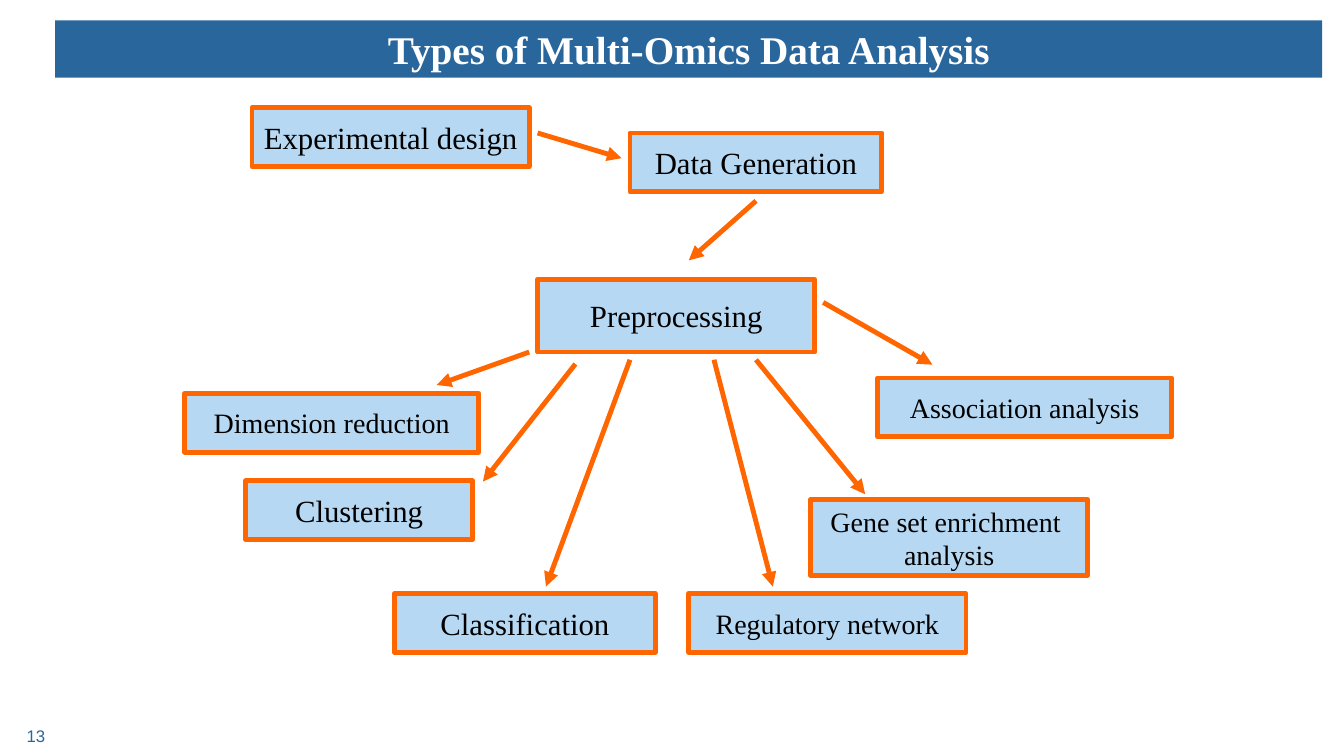
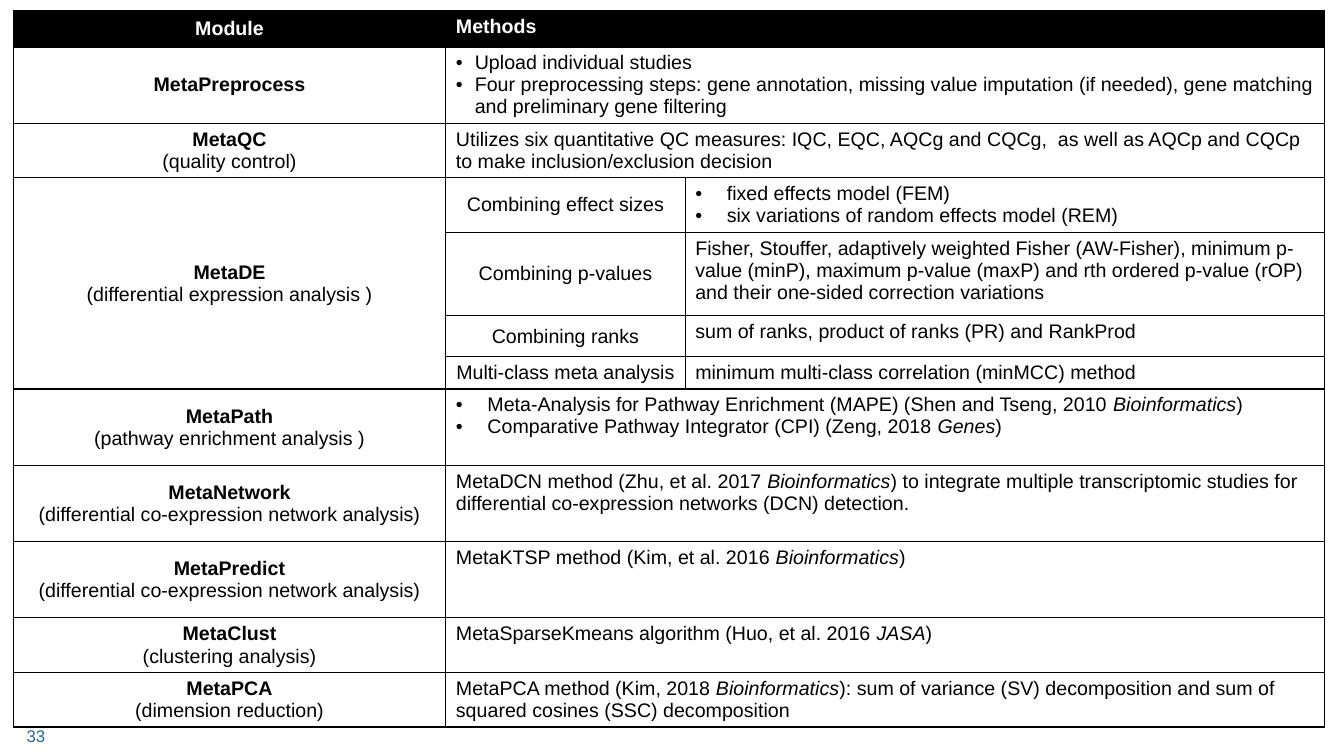
"""Build two slides on multi-omics data analysis: a flow chart and a table of modules."""
from dataclasses import dataclass
from lxml.etree import SubElement as Sub
from pptx import Presentation
from pptx.dml.color import RGBColor as Rgb
from pptx.enum.shapes import MSO_CONNECTOR as Link, MSO_SHAPE as Form
from pptx.enum.text import MSO_ANCHOR as Anchor, PP_ALIGN as Align
from pptx.oxml.ns import qn
from pptx.util import Pt


@dataclass(frozen=True)
class Theme:
    blue: str = "29669C"
    pale: str = "B6D8F2"
    rim: str = "FF6600"
    ink: str = "000000"
    paper: str = "FFFFFF"
    serif: str = "Times New Roman"
    sans: str = "Arial"
    title: float = 28
    large: float = 22
    small: float = 20
    cell: float = 14
    page: float = 12
    line: float = 3.5


@dataclass(frozen=True)
class Box:
    text: str
    left: float
    top: float
    wide: float
    size: float
    high: float = 42


@dataclass(frozen=True)
class Arrow:
    x1: float
    y1: float
    x2: float
    y2: float


@dataclass(frozen=True)
class Row:
    high: float
    name: str
    note: str
    kind: str
    text: str
    hang: float = 0


THEME = Theme()
BOXES = [
    Box("Experimental design", 180, 77, 198, THEME.large),
    Box("Data Generation", 450, 95, 180, THEME.large),
    Box("Preprocessing", 384, 199.5, 198, THEME.large, 52),
    Box("Dimension reduction", 132, 281, 210, THEME.small),
    Box("Association analysis", 627, 270, 210, THEME.small),
    Box("Regulatory network", 492, 424, 198, THEME.small),
    Box("Clustering", 175.5, 343.5, 162, THEME.large),
    Box("Classification", 282, 424, 186, THEME.large),
    Box("Gene set enrichment \nanalysis", 579, 357, 198, THEME.small, 54),
]
ARROWS = [
    Arrow(384, 95, 444, 113),
    Arrow(540, 143.5, 492, 186),
    Arrow(378, 251.5, 312, 275),
    Arrow(411, 260, 345, 344),
    Arrow(588, 216, 666, 260.5),
    Arrow(450, 257, 390, 419),
    Arrow(510, 257, 552, 419),
    Arrow(540, 257, 618, 353),
]
COLS = [309, 171, 456.5]
ROWS = [
    Row(26, "Module", "", "", "Methods"),
    Row(54.5, "MetaPreprocess", "", "",
        "Upload individual studies\n"
        "Four preprocessing steps: gene annotation, missing value imputation "
        "(if needed), gene matching and preliminary gene filtering", 13.5),
    Row(39, "MetaQC", "(quality control)", "",
        "Utilizes six quantitative QC measures: IQC, EQC, AQCg and CQCg,  "
        "as well as AQCp and CQCp to make inclusion/exclusion decision"),
    Row(39, "MetaDE", "(differential expression analysis )", "Combining effect sizes",
        "fixed effects model (FEM)\nsix variations of random effects model (REM)", 22.5),
    Row(59.5, "", "", "Combining p-values",
        "Fisher, Stouffer, adaptively weighted Fisher (AW-Fisher), minimum p-value (minP), "
        "maximum p-value (maxP) and rth ordered p-value (rOP) "
        "and their one-sided correction variations"),
    Row(29.5, "", "", "Combining ranks", "sum of ranks, product of ranks (PR) and RankProd"),
    Row(23, "", "", "Multi-class meta analysis",
        "minimum multi-class correlation (minMCC) method"),
    Row(54.5, "MetaPath", "(pathway enrichment analysis )", "",
        "Meta-Analysis for Pathway Enrichment (MAPE) (Shen and Tseng, 2010 *Bioinformatics*)\n"
        "Comparative Pathway Integrator (CPI) (Zeng, 2018 *Genes*)", 22.5),
    Row(54.5, "MetaNetwork", "(differential co-expression network analysis)", "",
        "MetaDCN method (Zhu, et al. 2017 *Bioinformatics*) to integrate multiple "
        "transcriptomic studies for differential co-expression networks (DCN) detection."),
    Row(54.5, "MetaPredict", "(differential co-expression network analysis)", "",
        "MetaKTSP method (Kim, et al. 2016 *Bioinformatics*)"),
    Row(39, "MetaClust", "(clustering analysis)", "",
        "MetaSparseKmeans algorithm (Huo, et al. 2016 *JASA*)"),
    Row(39, "MetaPCA", "(dimension reduction)", "",
        "MetaPCA method (Kim, 2018 *Bioinformatics*): sum of variance (SV) decomposition "
        "and sum of squared cosines (SSC) decomposition"),
]


def hue(code: str) -> Rgb:
    return Rgb.from_string(code)


def style(para, face: str, size: float, tint: str, bold: bool = False) -> None:
    font = para.font
    font.name, font.size, font.bold = face, Pt(size), bold
    font.color.rgb = hue(tint)


def write(frame, text: str, face: str, size: float, tint: str,
          align: Align = Align.LEFT, bold: int = 0, hang: float = 0) -> None:
    """Fill a frame line by line; starred parts are italic, the first lines bold."""
    for num, line in enumerate(text.split("\n")):
        para = frame.add_paragraph() if num else frame.paragraphs[0]
        para.alignment = align
        for part, piece in enumerate(line.split("*")):
            run = para.add_run()
            run.text = piece
            if part % 2:
                run.font.italic = True
        if hang:
            props = para._p.get_or_add_pPr()
            props.set("marL", str(Pt(hang)))
            props.set("indent", str(-Pt(hang)))
            Sub(props, qn("a:buFont")).set("typeface", THEME.sans)
            Sub(props, qn("a:buChar")).set("char", "•")
        style(para, face, size, tint, num < bold)


def block(slide, box: Box, fill: str):
    form = slide.shapes.add_shape(
        Form.RECTANGLE, Pt(box.left), Pt(box.top), Pt(box.wide), Pt(box.high))
    form.shadow.inherit = False
    form.fill.solid()
    form.fill.fore_color.rgb = hue(fill)
    form.line.fill.background()
    return form


def banner(slide, text: str) -> None:
    form = block(slide, Box(text, 39.5, 14.5, 905, THEME.title, 41), THEME.blue)
    frame = form.text_frame
    frame.word_wrap = True
    frame.vertical_anchor = Anchor.TOP
    write(frame, text, THEME.serif, THEME.title, THEME.paper, Align.CENTER, 1)


def step(slide, box: Box) -> None:
    form = block(slide, box, THEME.pale)
    form.line.color.rgb = hue(THEME.rim)
    form.line.width = Pt(THEME.line)
    frame = form.text_frame
    frame.word_wrap = False
    frame.vertical_anchor = Anchor.MIDDLE
    write(frame, box.text, THEME.serif, box.size, THEME.ink, Align.CENTER)


def join(slide, arrow: Arrow) -> None:
    link = slide.shapes.add_connector(
        Link.STRAIGHT, Pt(arrow.x1), Pt(arrow.y1), Pt(arrow.x2), Pt(arrow.y2))
    link.line.color.rgb = hue(THEME.rim)
    link.line.width = Pt(THEME.line)
    Sub(link.line._get_or_add_ln(), qn("a:tailEnd")).set("type", "triangle")
    Sub(link._element.spPr, qn("a:effectLst"))


def number(slide, text: str) -> None:
    frame = slide.shapes.add_textbox(Pt(12), Pt(511), Pt(216), Pt(29)).text_frame
    frame.word_wrap = True
    frame.vertical_anchor = Anchor.MIDDLE
    write(frame, text, THEME.sans, THEME.page, THEME.blue)


def paint(cell, fill: str) -> None:
    props = cell._tc.get_or_add_tcPr()
    for side in ("lnL", "lnR", "lnT", "lnB"):
        edge = Sub(props, qn(f"a:{side}"), w=str(Pt(1)))
        Sub(Sub(edge, qn("a:solidFill")), qn("a:srgbClr")).set("val", THEME.ink)
    cell.fill.solid()
    cell.fill.fore_color.rgb = hue(fill)


def grid(slide, rows: list[Row]) -> None:
    """Draw the table; a row without a name joins the module above it."""
    high = sum(row.high for row in rows)
    table = slide.shapes.add_table(
        len(rows), len(COLS), Pt(9.5), Pt(7.5), Pt(sum(COLS)), Pt(high)).table
    table.first_row = table.horz_banding = False
    for col, wide in zip(table.columns, COLS):
        col.width = Pt(wide)
    for num, row in enumerate(rows):
        table.rows[num].height = Pt(row.high)
        head = num == 0
        tint = THEME.paper if head else THEME.ink
        cells = [table.cell(num, col) for col in range(len(COLS))]
        for cell in cells:
            paint(cell, THEME.ink if head else THEME.paper)
        name, kind, text = cells
        if row.name:
            label = f"{row.name}\n{row.note}" if row.note else row.name
            name.vertical_anchor = Anchor.MIDDLE
            write(name.text_frame, label, THEME.sans, THEME.cell, tint, Align.CENTER, 1)
        if row.kind:
            kind.vertical_anchor = Anchor.MIDDLE
            write(kind.text_frame, row.kind, THEME.sans, THEME.cell, tint, Align.CENTER)
        else:
            kind.merge(text)
            text = kind
        write(text.text_frame, row.text, THEME.sans, THEME.cell, tint,
              bold=int(head), hang=row.hang)
    names = [num for num, row in enumerate(rows) if row.name]
    for top, end in zip(names, names[1:] + [len(rows)]):
        if end - top > 1:
            table.cell(top, 0).merge(table.cell(end - 1, 0))


def main() -> None:
    deck = Presentation()
    deck.slide_width, deck.slide_height = Pt(960), Pt(540)
    blank = deck.slide_layouts[6]

    flow = deck.slides.add_slide(blank)
    banner(flow, "Types of Multi-Omics Data Analysis")
    for box in BOXES:
        step(flow, box)
    for arrow in ARROWS:
        join(flow, arrow)
    number(flow, "13")

    tools = deck.slides.add_slide(blank)
    grid(tools, ROWS)
    number(tools, "33")
    deck.save("out.pptx")


if __name__ == "__main__":
    main()
